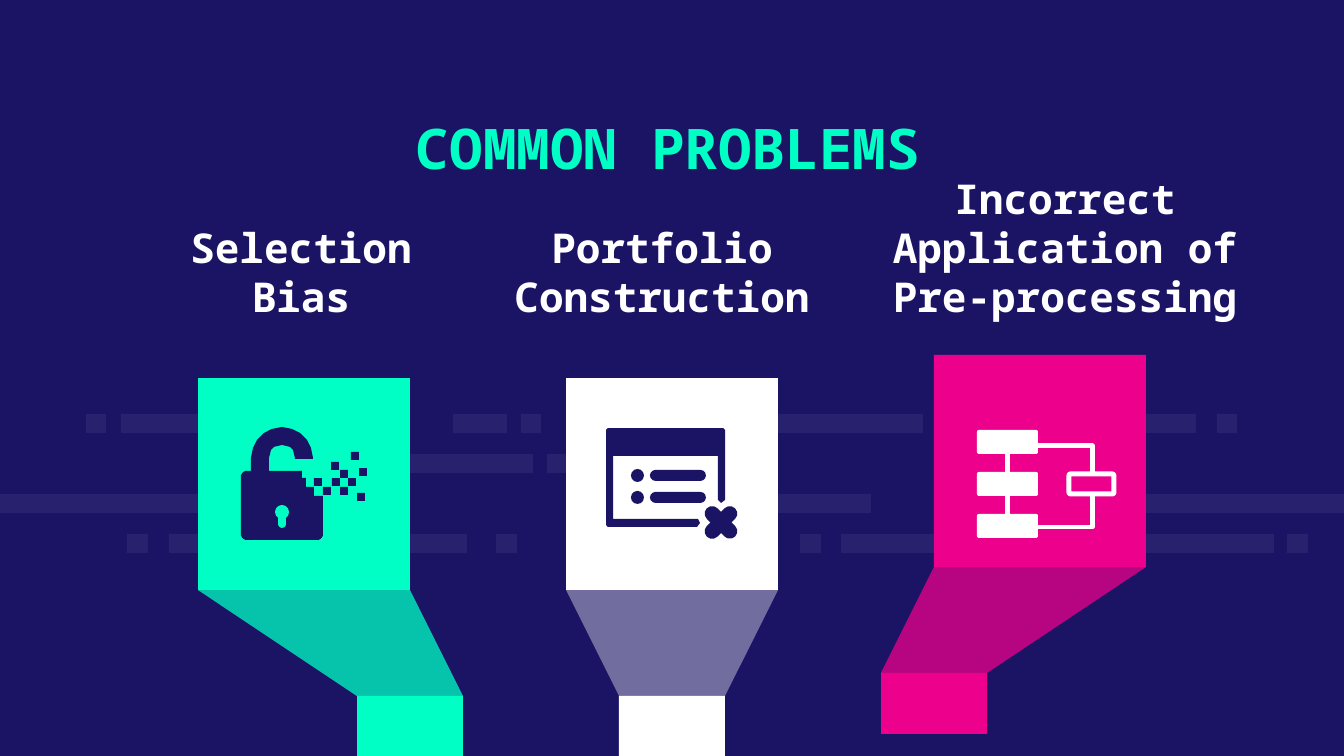
from math import cos, radians, sin

from lxml import etree
from pptx import Presentation, util as u
from pptx.dml.color import RGBColor
from pptx.enum import shapes as es, text as et
from pptx.oxml.ns import qn

PX = 914400 / 134.4
FONT = "Noto Sans Mono"
NAVY, MINT, PINK, WHITE = "1B1464", "00FFC5", "EC008C", "FFFFFF"
KIND = es.MSO_SHAPE
RECT, ROUND, OVAL = KIND.RECTANGLE, KIND.ROUNDED_RECTANGLE, KIND.OVAL


def px(n):
    return u.Emu(round(n * PX))


def tint(fill, color, alpha=100):
    fill.solid()
    fill.fore_color.rgb = RGBColor.from_string(color)
    if alpha < 100:
        node = fill._xPr.find(".//" + qn("a:srgbClr"))
        etree.SubElement(node, qn("a:alpha")).set("val", str(alpha * 1000))


def plain(part, color, alpha=100):
    part.shadow.inherit = False
    part.line.fill.background()
    tint(part.fill, color, alpha)
    return part


def block(slide, kind, box, color, alpha=100, curve=None):
    part = slide.shapes.add_shape(kind, *map(px, box))
    if curve is not None:
        part.adjustments[0] = curve
    return plain(part, color, alpha)


def trace(slide, org, pts, close=True):
    x, y = org
    pts = [(x + a, y + b) for a, b in pts]
    form = slide.shapes.build_freeform(*pts[0], scale=PX)
    form.add_line_segments(pts[1:], close=close)
    return form.convert_to_shape()


def arc(x, y, r, start, end):
    """Points along a circle, in ten steps, clockwise from the right."""
    turns = [radians(start + (end - start) * i / 10) for i in range(11)]
    return [(x + r * cos(t), y + r * sin(t)) for t in turns]


def stroke(part, color, wide):
    tint(part.line.fill, color)
    part.line.width = px(wide)


def write(part, box, words, size, color, **form):
    for key, val in zip(("left", "top", "width", "height"), box):
        setattr(part, key, px(val))
    frame = part.text_frame
    look = dict(word_wrap=True, auto_size=et.MSO_AUTO_SIZE.NONE,
                margin_left=u.Inches(0.1), margin_right=u.Inches(0.1),
                margin_top=u.Inches(0.1), margin_bottom=u.Inches(0.1))
    for key, val in {**look, **form}.items():
        setattr(frame, key, val)
    para = frame.paragraphs[0]
    para.text = words
    para.alignment = et.PP_ALIGN.CENTER
    for key, val in dict(name=FONT, size=u.Pt(size), bold=True).items():
        setattr(para.font, key, val)
    para.font.color.rgb = RGBColor.from_string(color)


def bands(slide):
    """Faint dashes behind the funnels: row top, then (left, width)."""
    rows = {
        414: [(86, 20), (121, 196), (453, 54), (521, 20), (754, 169),
              (1027, 169), (1217, 20)],
        454: [(402, 131), (547, 54)],
        494: [(0, 199), (672, 199), (1145, 199)],
        534: [(127, 21), (169, 298), (496, 21), (800, 21), (841, 433),
              (1287, 21)],
    }
    for y, row in rows.items():
        for x, w in row:
            block(slide, RECT, (x, y, w, 19), WHITE, 6)


def funnel(slide, org, foot, color, coats):
    """Square head, slanted neck and a foot half as wide as the head."""
    x, y = org
    head, half = 212, 106
    neck = [(foot, head + half), (0, head), (head, head),
            (foot + half, head + half)]
    for coat in coats:
        plain(trace(slide, org, neck), *coat)
    block(slide, RECT, (x, y, head, head), color)
    block(slide, RECT, (x + foot, y + head + half, half, 61), color)


def lock(slide, org):
    x, y = org
    # Shackle and body
    bow = [(53, 94), *arc(84, 80, 31, 180, 360), (115, 81), (97, 81),
           *arc(84, 80, 13, 360, 180), (71, 94)]
    body = [*arc(49, 99, 6, 180, 270), (104, 93), (104, 100), (108, 100),
            (108, 109), (116, 109), (116, 118), (125, 118),
            *arc(119, 156, 6, 0, 90), *arc(49, 156, 6, 90, 180)]
    for pts in (bow, body):
        plain(trace(slide, org, pts), NAVY)
    # Keyhole
    block(slide, OVAL, (x + 77, y + 127, 14, 14), MINT)
    block(slide, ROUND, (x + 80, y + 134, 8, 16), MINT, curve=0.5)
    # Loose pixels
    for a, b in [(125, 109), (142, 92), (134, 100), (133, 84), (116, 100),
                 (142, 109), (159, 115), (150, 100), (161, 90), (153, 74)]:
        block(slide, RECT, (x + a, y + b, 8, 8), NAVY)


def window(slide, org):
    x, y = org
    # Frame with a gap at its lower right corner
    rim = [*arc(43, 53, 3, 180, 270), *arc(156, 53, 3, 270, 360),
           (159, 122), (155, 125), (152, 122), (152, 78), (47, 78),
           (47, 141), (132, 141), (134, 145), (131, 149),
           *arc(43, 146, 3, 90, 180)]
    plain(trace(slide, org, rim), NAVY)
    # List lines
    for row in (91, 113):
        block(slide, OVAL, (x + 65, y + row, 13, 13), NAVY)
        block(slide, ROUND, (x + 84, y + row + 1, 56, 11), NAVY, curve=0.5)
    # Cross
    for turn in (45, -45):
        bar = block(slide, ROUND, (x + 135, y + 137, 40, 15), NAVY, curve=0.5)
        bar.rotation = turn


def flow(slide, org):
    x, y = org
    # Steps
    steps = [block(slide, ROUND, (x + 43, y + 75 + 42 * i, 61, 24), WHITE,
                   curve=0.08) for i in range(3)]
    for one, two in zip(steps, steps[1:]):
        link = slide.shapes.add_connector(es.MSO_CONNECTOR.STRAIGHT, 0, 0, 0, 0)
        link.begin_connect(one, 2)
        link.end_connect(two, 0)
        stroke(link, WHITE, 5)
        etree.SubElement(link._element.spPr, qn("a:effectLst"))
    # Bent arms to the side step
    for out, end in ((91, 118), (172, 140)):
        arm = trace(slide, org, [(104, out), (158, out), (158, end)], False)
        arm.shadow.inherit = False
        arm.fill.background()
        stroke(arm, WHITE, 5)
    side = block(slide, ROUND, (x + 135, y + 119, 45, 20), PINK, curve=0.08)
    stroke(side, WHITE, 5)


def main():
    deck = Presentation()
    deck.slide_width, deck.slide_height = px(1344), px(756)
    slide = deck.slides.add_slide(deck.slide_layouts[5])
    tint(slide.background.fill, NAVY)
    bands(slide)
    write(slide.shapes.title, (184, 98, 968, 98), "COMMON PROBLEMS", 30, MINT,
          vertical_anchor=et.MSO_ANCHOR.MIDDLE)

    # Label, label box, funnel corner, foot shift, colour, neck coats, icon
    shade = (NAVY, 25)
    for words, box, org, foot, color, coats, icon in [
        ("Selection Bias", (149, 258, 304, 63), (198, 378), 159, MINT,
         [(MINT,), shade], lock),
        ("Portfolio Construction", (488, 258, 348, 63), (566, 378), 53, WHITE,
         [(WHITE, 38)], window),
        ("Incorrect Application of Pre-processing", (868, 196, 394, 125),
         (934, 355), -53, PINK, [(PINK,), shade], flow),
    ]:
        label = slide.shapes.add_textbox(0, 0, 0, 0)
        write(label, box, words, 22, WHITE, margin_bottom=0,
              vertical_anchor=et.MSO_ANCHOR.BOTTOM)
        funnel(slide, org, foot, color, coats)
        icon(slide, org)
    deck.save("out.pptx")


if __name__ == "__main__":
    main()
